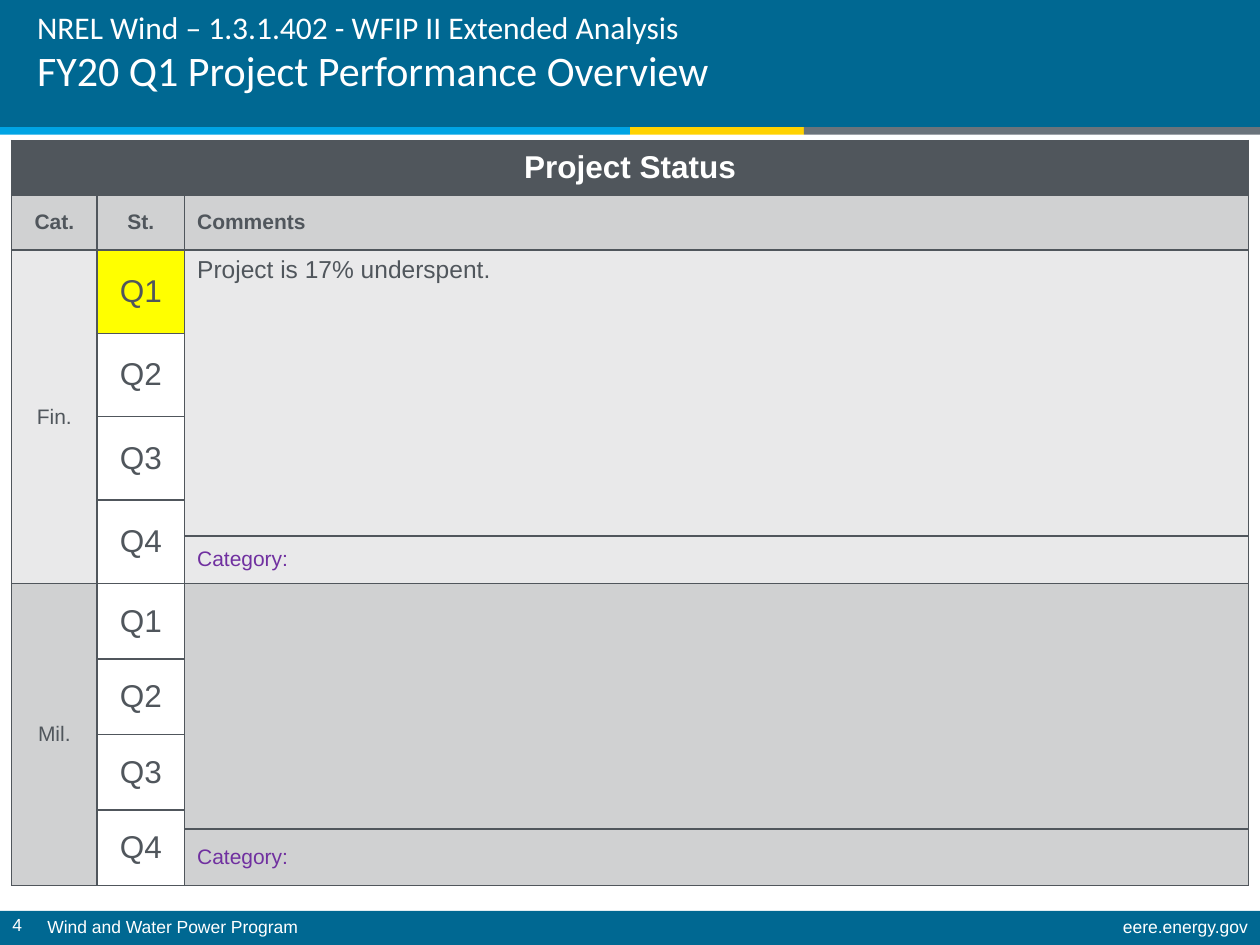
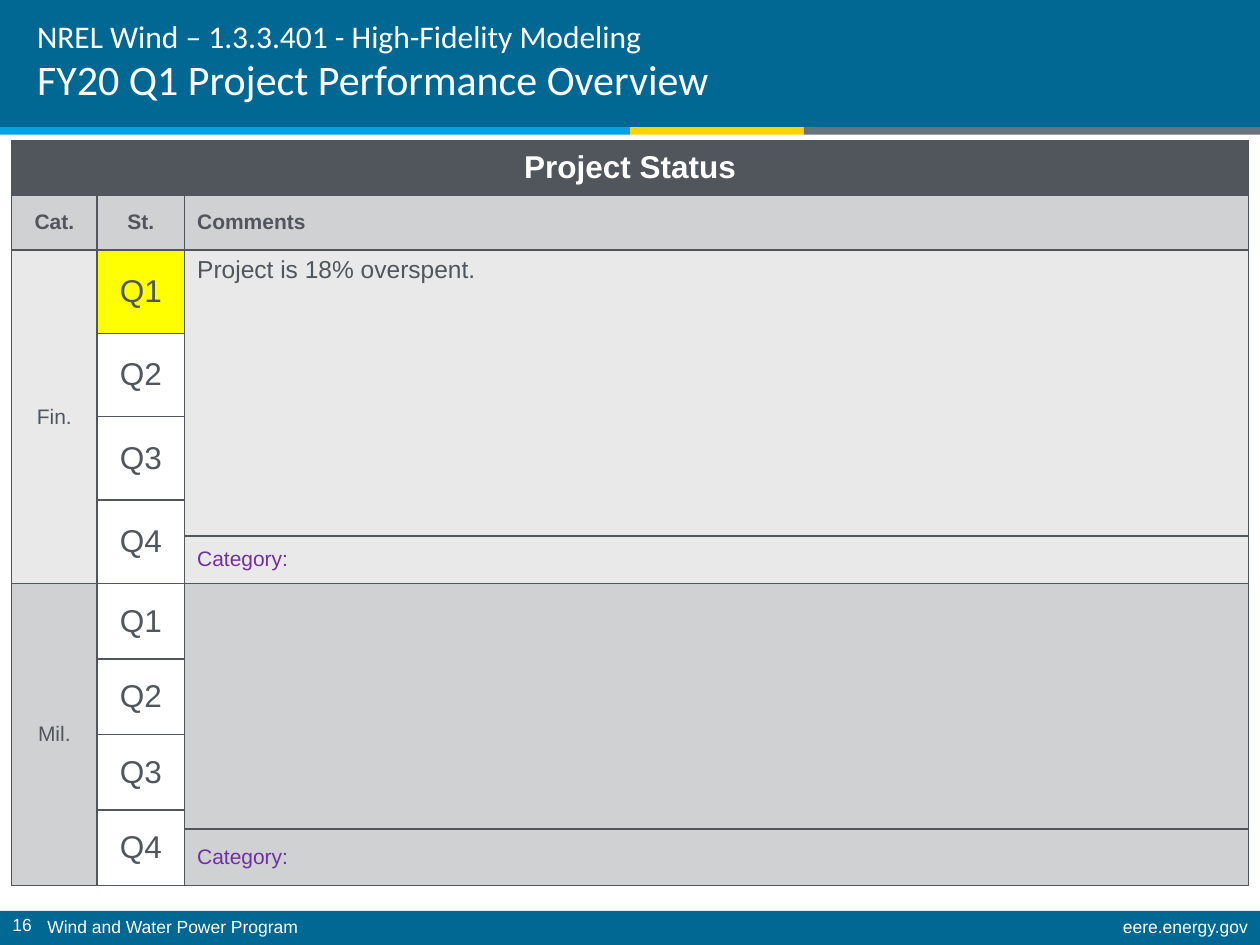
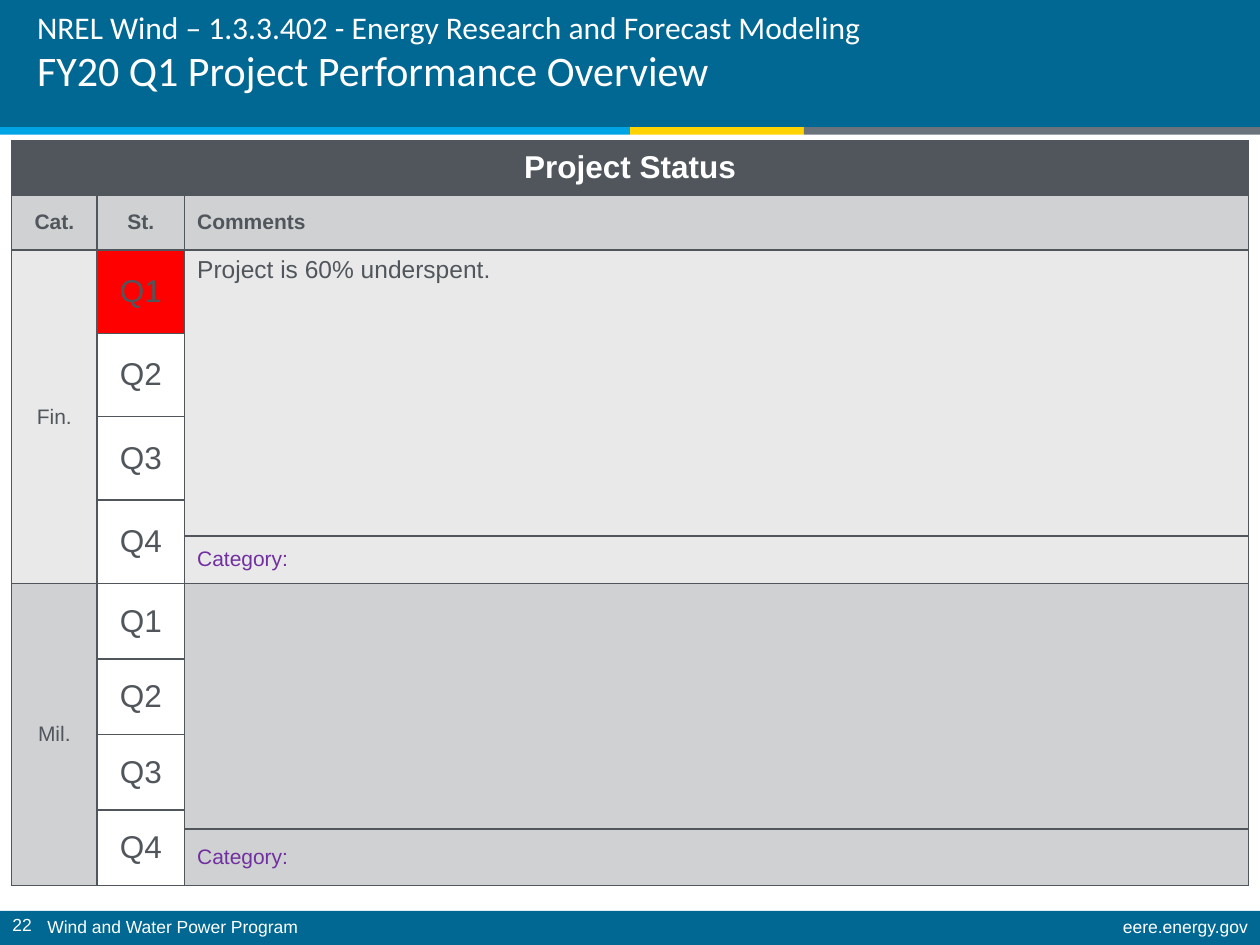
from lxml import etree
from pptx import Presentation
from pptx.dml.color import RGBColor
from pptx.enum.shapes import MSO_SHAPE
from pptx.enum.text import MSO_ANCHOR as ANCHOR, MSO_AUTO_SIZE as AUTO, PP_ALIGN as ALIGN
from pptx.oxml import parse_xml
from pptx.oxml.ns import nsdecls
from pptx.util import Pt

COLORS = {
    "blue": "006892", "sky": "00A4E4", "gold": "FFD200", "steel": "6A737B",
    "slate": "50565C", "gray": "D0D1D2", "light": "E9E9EA", "white": "FFFFFF",
    "yellow": "FFFF00", "red": "FF0000", "purple": "7030A0",
}
RGB = {name: RGBColor.from_string(value) for name, value in COLORS.items()}

BANDS = [
    (0, 0, 720, 72.6, "blue"),
    (0, 520.5, 720, 19.5, "blue"),
    (0, 72.6, 360, 4.4, "sky"),
    (360, 72.6, 99.4, 4.4, "gold"),
    (459.4, 72.6, 260.6, 4.4, "steel"),
]
FOOTERS = [
    (20, 521.3, 574, "Wind and Water Power Program", ALIGN.LEFT),
    (431.3, 521.3, 288.7, "eere.energy.gov", ALIGN.RIGHT),
]
PROJECTS = [
    ("4", "NREL Wind – 1.3.1.402 - WFIP II Extended Analysis", -4.9, 641.5,
     "Project is 17% underspent.", "yellow"),
    ("16", "NREL Wind – 1.3.3.401 - High-Fidelity Modeling", 0, 502.5,
     "Project is 18% overspent.", "yellow"),
    ("22", "NREL Wind – 1.3.3.402 - Energy Research and Forecast Modeling", -5.2, 502.5,
     "Project is 60% underspent.", "red"),
]
COLS = [48.9, 50, 608.1]
ROWS = [31.2, 31.4, 47.6, 47.6, 47.6, 20.6, 27.1, 43.2, 43.2, 43.2, 10.8, 32.3]
BORDERS = ("lnL", "lnR", "lnT", "lnB")
TIGHT = (0, 0, 0, 0)
INDENT = (7.2, 0, 0, 0)
PADDED = (7.2, 7.2, 3.6, 3.6)
SIDES = ("margin_left", "margin_right", "margin_top", "margin_bottom")


def add_run(p, text, size, color, name="Arial", bold=False):
    r = p.add_run()
    r.text = text
    for key, value in {"size": Pt(size), "name": name, "bold": bold}.items():
        setattr(r.font, key, value)
    r.font.color.rgb = RGB[color]


def add_label(s, left, top, width, text, align):
    box = s.shapes.add_textbox(Pt(left), Pt(top), Pt(width), Pt(18.7))
    box.text_frame.word_wrap = True
    p = box.text_frame.paragraphs[0]
    p.alignment = align
    p.line_spacing = 0.9
    add_run(p, text, 10, "white")
    return box


prs = Presentation()
prs.slide_width, prs.slide_height = Pt(720), Pt(540)
layout = prs.slide_layouts[5]
for ph in list(layout.placeholders):
    if ph.placeholder_format.idx != 0:
        layout.shapes.element.remove(ph.element)

slides = [prs.slides.add_slide(layout) for _ in PROJECTS]
shared = []
for left, top, width, height, color in BANDS:
    band = slides[0].shapes.add_shape(
        MSO_SHAPE.RECTANGLE, Pt(left), Pt(top), Pt(width), Pt(height))
    band.shadow.inherit = False
    band.fill.solid()
    band.fill.fore_color.rgb = RGB[color]
    band.line.fill.background()
    shared.append(band)
for footer in FOOTERS:
    shared.append(add_label(slides[0], *footer))
for sp in shared:
    layout.shapes.element.append(sp.element)

for s, (number, project, top, width, comment, status) in zip(slides, PROJECTS):
    add_label(s, 0, 520, 31, number, ALIGN.LEFT)

    title = s.shapes.title
    title.left, title.top, title.width, title.height = Pt(14), Pt(top), Pt(width), Pt(62.6)
    tf = title.text_frame
    for key, value in {"word_wrap": True, "auto_size": AUTO.NONE,
                       "vertical_anchor": ANCHOR.MIDDLE}.items():
        setattr(tf, key, value)
    p = tf.paragraphs[0]
    p.alignment = ALIGN.LEFT
    p.line_spacing = Pt(28)
    add_run(p, project, 18, "white", "Calibri")
    p.add_line_break()
    add_run(p, "FY20 Q1 Project Performance Overview", 24, "white", "Calibri")

    table = s.shapes.add_table(
        len(ROWS), len(COLS), Pt(6.6), Pt(80.3), Pt(sum(COLS)), Pt(sum(ROWS))).table
    table.first_row = table.horz_banding = False
    for col, size in zip(table.columns, COLS):
        col.width = Pt(size)
    for row, size in zip(table.rows, ROWS):
        row.height = Pt(size)

    cells = [
        (0, 0, 1, 3, "Project Status", "slate", 18, "white", True, ALIGN.CENTER, PADDED),
        (1, 0, 1, 1, "Cat.", "gray", 12, "slate", True, ALIGN.CENTER, TIGHT),
        (1, 1, 1, 1, "St.", "gray", 12, "slate", True, ALIGN.CENTER, TIGHT),
        (1, 2, 1, 1, "Comments", "gray", 12, "slate", True, ALIGN.LEFT, PADDED),
    ]
    for first, category, fill, note, q1_fill in (
            (2, "Fin.", "light", comment, status), (7, "Mil.", "gray", "", None)):
        cells += [
            (first, 0, 5, 1, category, fill, 12, "slate", False, ALIGN.CENTER, TIGHT),
            (first, 2, 4, 1, note, fill, 14, "slate", False, ALIGN.LEFT, PADDED),
            (first + 4, 2, 1, 1, "Category:", fill, 12, "purple", False, ALIGN.LEFT, INDENT),
        ]
        for q in range(4):
            cells.append((first + q, 1, 2 if q == 3 else 1, 1, f"Q{q + 1}",
                          q1_fill if q == 0 else None, 18, "slate", False,
                          ALIGN.CENTER, TIGHT))

    for row, col, down, across, text, fill, size, color, bold, align, margins in cells:
        cell = table.cell(row, col)
        if down * across > 1:
            cell.merge(table.cell(row + down - 1, col + across - 1))
        for side, margin in zip(SIDES, margins):
            setattr(cell, side, Pt(margin))
        cell.vertical_anchor = ANCHOR.TOP if size == 14 else ANCHOR.MIDDLE
        p = cell.text_frame.paragraphs[0]
        p.alignment = align
        if text:
            add_run(p, text, size, color, bold=bold)
        for r in range(row, row + down):
            for c in range(col, col + across):
                part = table.cell(r, c)
                tcPr = part.fill and part._tc.get_or_add_tcPr()
                for tag in BORDERS:
                    line = parse_xml(f'<a:{tag} {nsdecls("a")} w="{Pt(1)}"/>')
                    solid = etree.SubElement(line, line.tag.replace(tag, "solidFill"))
                    etree.SubElement(solid, line.tag.replace(tag, "srgbClr"),
                                     val=COLORS["slate"])
                    tcPr.append(line)
                if fill:
                    part.fill.solid()
                    part.fill.fore_color.rgb = RGB[fill]
                else:
                    part.fill.background()

prs.save("out.pptx")
